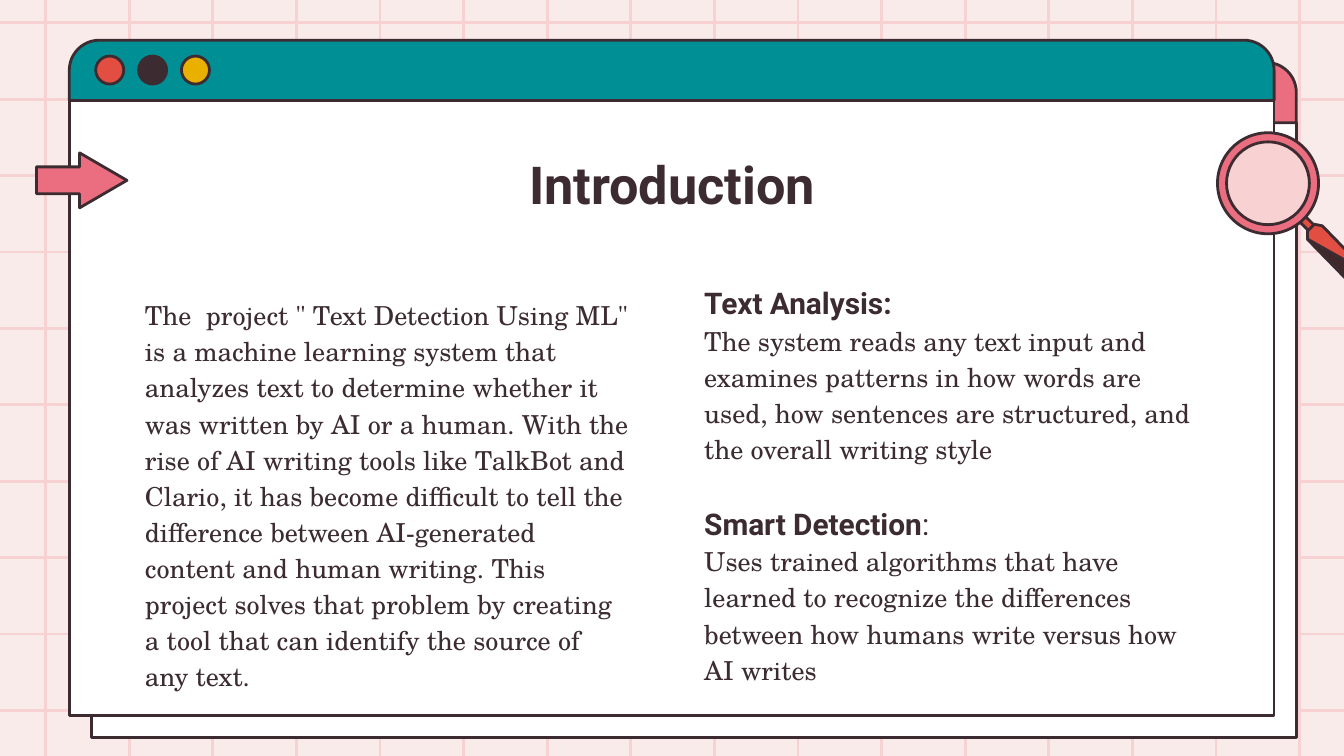
from lxml.etree import SubElement
from pptx import Presentation
from pptx.dml.color import RGBColor
from pptx.enum.shapes import MSO_CONNECTOR, MSO_SHAPE
from pptx.enum.text import MSO_ANCHOR, MSO_AUTO_SIZE, PP_ALIGN
from pptx.oxml.ns import qn
from pptx.util import Cm, Pt

COLORS = {
    name: RGBColor.from_string(value)
    for name, value in {
        "background": "FAEBEB", "grid": "F8D2D2", "ink": "3C2C31",
        "white": "FFFFFF", "pink": "EB6E80", "teal": "008F95",
        "red": "E24E42", "yellow": "E9B000", "shade": "3E282C",
    }.items()
}
HEADING_FONT = "Roboto"
BODY_FONT = "TeX Gyre Schola"

deck = Presentation()
deck.slide_width, deck.slide_height = Cm(25.4), Cm(14.29)
page = deck.slides.add_slide(deck.slide_layouts[5])
page.background.fill.solid()
page.background.fill.fore_color.rgb = COLORS["background"]
shapes = page.shapes


def paint(shape, fill):
    """Give a shape a flat fill and the dark outline."""
    shape.shadow.inherit = False
    shape.fill.solid()
    shape.fill.fore_color.rgb = COLORS[fill]
    shape.line.color.rgb = COLORS["ink"]
    shape.line.width = Pt(1.5)


def fill_text(frame, paragraphs):
    """Write paragraphs of (alignment, line spacing, space before, runs)."""
    frame.word_wrap = True
    frame.auto_size = MSO_AUTO_SIZE.NONE
    frame.vertical_anchor = MSO_ANCHOR.TOP
    frame.margin_left = frame.margin_right = Cm(0.25)
    frame.margin_top = frame.margin_bottom = Cm(0.25)
    for index, (alignment, spacing, before, runs) in enumerate(paragraphs):
        para = frame.add_paragraph() if index else frame.paragraphs[0]
        para.alignment = alignment
        para.line_spacing = spacing
        para.space_before = Pt(before)
        for text, font, size, bold in runs:
            span = para.add_run()
            span.text = text
            span.font.name = font
            span.font.size = Pt(size)
            span.font.bold = bold
            span.font.color.rgb = COLORS["ink"]


# Background grid
columns = [0.86 + 1.58 * i for i in range(16)]
rows = [0.43 + 13 / 9 * i for i in range(10)]
grid = [(x, 14.78, x, -0.91) for x in columns]
grid += [(-0.56, y, 25.96, y) for y in rows]
for ends in grid:
    line = shapes.add_connector(MSO_CONNECTOR.STRAIGHT, *map(Cm, ends))
    line.line.color.rgb = COLORS["grid"]
    line.line.width = Pt(1.5)
    SubElement(line._element.spPr, qn("a:effectLst"))

# Two stacked browser windows
for left, top, header_color in ((1.73, 1.18, "pink"), (1.31, 0.76, "teal")):
    body = shapes.add_shape(
        MSO_SHAPE.RECTANGLE, Cm(left), Cm(top + 1.14), Cm(22.77), Cm(11.62))
    paint(body, "white")
    header = shapes.add_shape(
        MSO_SHAPE.ROUND_2_SAME_RECTANGLE, Cm(left), Cm(top), Cm(22.77), Cm(1.14))
    header.adjustments[0] = 0.5
    paint(header, header_color)
    for index, color in enumerate(("red", "ink", "yellow")):
        button = shapes.add_shape(
            MSO_SHAPE.OVAL, Cm(left + 0.5 + 0.81 * index), Cm(top + 0.3),
            Cm(0.53), Cm(0.53))
        paint(button, color)

# Title
title = shapes.title
title.left, title.top, title.width, title.height = map(Cm, (2.49, 2.62, 20.42, 1.6))
fill_text(title.text_frame, [
    (PP_ALIGN.CENTER, 1.0, 0, [("Introduction", HEADING_FONT, 28, True)]),
])
title._element.getparent().append(title._element)  # in front of the windows

# Text columns
overview = (
    "The  project \" Text Detection Using ML\" is a machine learning system that "
    "analyzes text to determine whether it was written by AI or a human. With the "
    "rise of AI writing tools like TalkBot and Clario, it has become difficult to "
    "tell the difference between AI-generated content and human writing. This "
    "project solves that problem by creating a tool that can identify the source "
    "of any text."
)
analysis = (
    "The system reads any text input and examines patterns in how words are used, "
    "how sentences are structured, and the overall writing style"
)
detection = (
    "Uses trained algorithms that have learned to recognize the differences "
    "between how humans write versus how AI writes"
)
text_columns = [
    ((2.49, 5.33, 9.68, 7.32), [
        (0, [(overview, BODY_FONT, 14, False)]),
    ]),
    ((13.06, 5.03, 9.86, 7.32), [
        (0, [("Text Analysis:", HEADING_FONT, 16, True)]),
        (0, [(analysis, BODY_FONT, 14, False)]),
        (19, [("Smart Detection", HEADING_FONT, 16, True),
              (":", HEADING_FONT, 16, False)]),
        (0, [(detection, BODY_FONT, 14, False)]),
    ]),
]
for place, paragraphs in text_columns:
    box = shapes.add_textbox(*map(Cm, place))
    fill_text(box.text_frame, [
        (PP_ALIGN.LEFT, 1.15, before, runs) for before, runs in paragraphs])

# Magnifying glass: neck, grip, shaded side of the grip, lens and rim
neck = [(24.82, 4.45), (24.92, 4.34), (24.64, 4.06), (24.54, 4.17)]
grip = [(24.71, 4.52), (24.71, 4.37), (24.84, 4.24), (24.99, 4.27), (25.73, 5.03),
        (25.76, 5.11), (25.65, 5.26), (25.55, 5.31), (25.45, 5.28)]
for outline, color in ((neck, "red"), (grip, "red"), (grip[:1] + grip[5:], "shade")):
    points = [(Cm(x), Cm(y)) for x, y in outline]
    builder = shapes.build_freeform(*points[0])
    builder.add_line_segments(points[1:], close=True)
    paint(builder.convert_to_shape(), color)

lens = shapes.add_shape(MSO_SHAPE.OVAL, Cm(23.11), Cm(2.61), Cm(1.7), Cm(1.7))
paint(lens, "grid")
rim = shapes.add_shape(MSO_SHAPE.DONUT, Cm(23.01), Cm(2.51), Cm(1.91), Cm(1.91))
rim.adjustments[0] = 0.09
paint(rim, "pink")

# Pointer beside the title
arrow = shapes.add_shape(
    MSO_SHAPE.RIGHT_ARROW, Cm(0.69), Cm(2.89), Cm(1.71), Cm(1.04))
arrow.adjustments[0] = 0.49
arrow.adjustments[1] = 0.86
paint(arrow, "pink")

deck.save("out.pptx")
